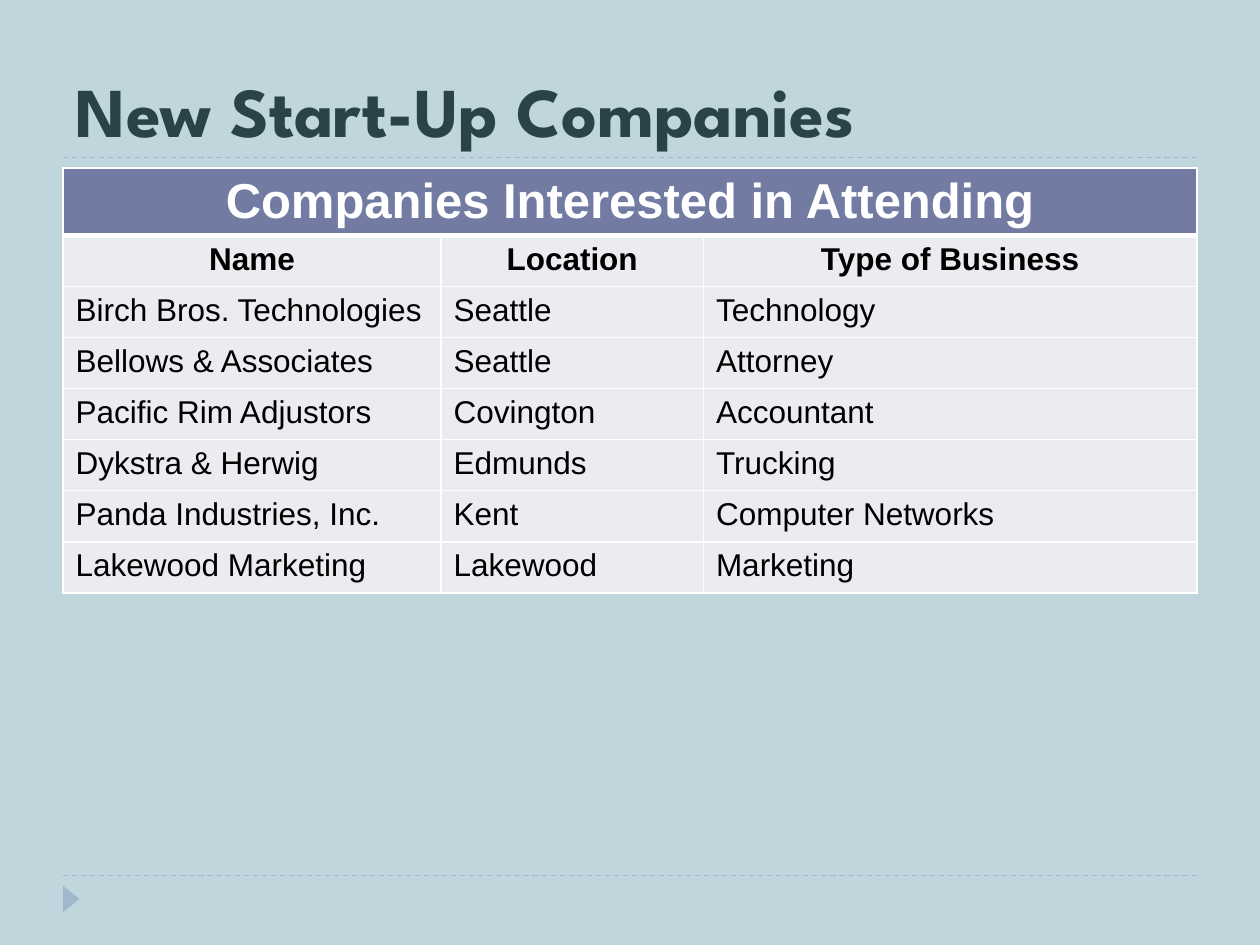
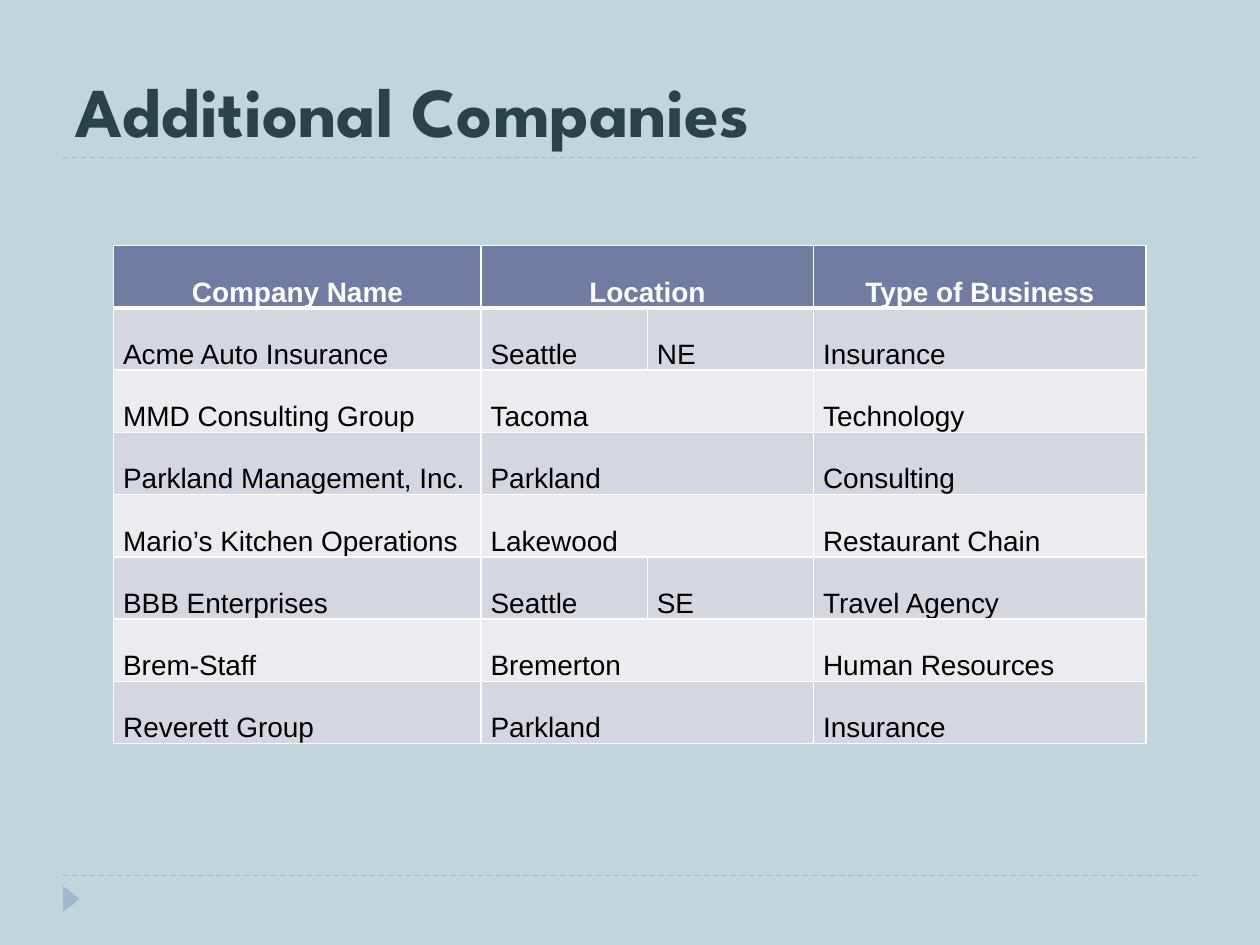
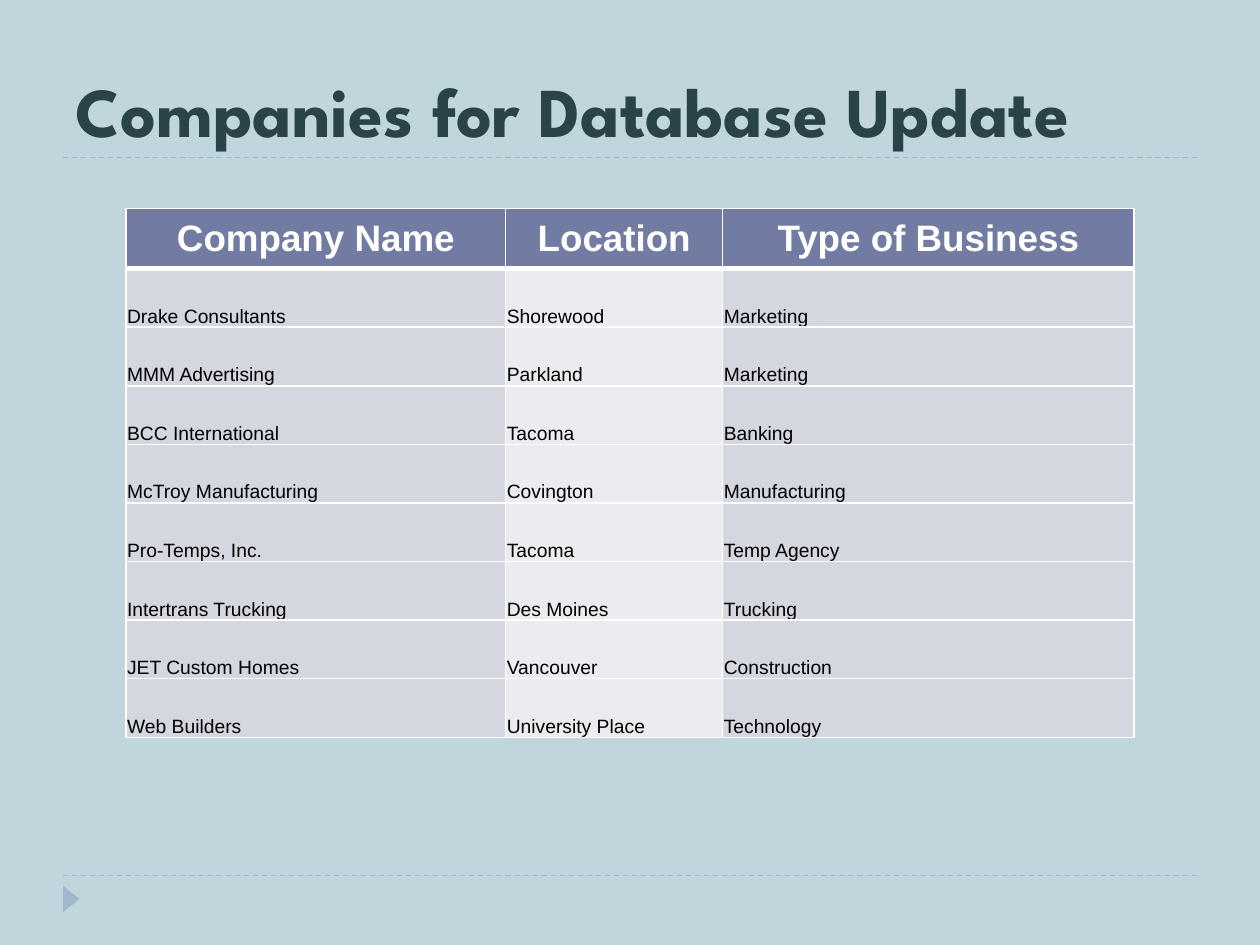
from lxml.etree import SubElement
from pptx import Presentation
from pptx.dml.color import RGBColor
from pptx.enum.dml import MSO_LINE
from pptx.enum.shapes import MSO_CONNECTOR, MSO_SHAPE
from pptx.enum.text import MSO_ANCHOR, MSO_AUTO_SIZE, PP_ALIGN
from pptx.oxml.ns import qn
from pptx.util import Pt

BACKGROUND = RGBColor(0xC0, 0xD6, 0xDC)
ACCENT = RGBColor(0x9F, 0xB8, 0xCD)
TITLE_COLOR = RGBColor(0x29, 0x43, 0x49)
HEADER_FILL = RGBColor(0x72, 0x7C, 0xA3)
DARK_BAND = RGBColor(0xD5, 0xD7, 0xE0)
LIGHT_BAND = RGBColor(0xEB, 0xEC, 0xF0)
WHITE = RGBColor(0xFF, 0xFF, 0xFF)
BLACK = RGBColor(0x00, 0x00, 0x00)
TITLE_FONT = "League Spartan"
BODY_FONT = "Arial"


def add_border(cell, side, width):
    """Draw one white cell border; side is L, R, T or B."""
    line = SubElement(cell._tc.get_or_add_tcPr(), qn(f"a:ln{side}"), w=str(Pt(width)))
    fill = SubElement(line, qn("a:solidFill"))
    SubElement(fill, qn("a:srgbClr"), val=str(WHITE))


# None continues the cell to its left
SLIDES = [
    {
        "title": "New Start-Up Companies", "title_width": 648,
        "frame": (36, 96, 648, 245.5), "columns": [216, 150, 282],
        "header_height": 29.2, "row_height": 29.2,
        "margins": (7.2, 3.6, 7.2, 3.6), "bands": "none", "bold_rows": 2,
        "header_size": 28, "body_size": 18, "header_spacing": 1, "body_spacing": 1,
        "header_anchor": MSO_ANCHOR.TOP, "body_anchor": MSO_ANCHOR.TOP,
        "rows": [
            ["Companies Interested in Attending", None, None],
            ["Name", "Location", "Type of Business"],
            ["Birch Bros. Technologies", "Seattle", "Technology"],
            ["Bellows & Associates", "Seattle", "Attorney"],
            ["Pacific Rim Adjustors", "Covington", "Accountant"],
            ["Dykstra & Herwig", "Edmunds", "Trucking"],
            ["Panda Industries, Inc.", "Kent", "Computer Networks"],
            ["Lakewood Marketing", "Lakewood", "Marketing"],
        ],
    },
    {
        "title": "Additional Companies", "title_width": 648,
        "frame": (65, 140.4, 590, 259.2), "columns": [210, 95, 95, 190],
        "header_height": 19.2, "row_height": 19.2,
        "margins": (5.4, 0, 5.4, 0), "bands": "rows", "bold_rows": 1,
        "header_size": 16, "body_size": 16, "header_spacing": 2, "body_spacing": 2,
        "header_anchor": MSO_ANCHOR.TOP, "body_anchor": MSO_ANCHOR.TOP,
        "rows": [
            ["Company Name", "Location", None, "Type of Business"],
            ["Acme Auto Insurance", "Seattle", "NE", "Insurance"],
            ["MMD Consulting Group", "Tacoma", None, "Technology"],
            ["Parkland Management, Inc.", "Parkland", None, "Consulting"],
            ["Mario’s Kitchen Operations", "Lakewood", None, "Restaurant Chain"],
            ["BBB Enterprises", "Seattle", "SE", "Travel Agency"],
            ["Brem-Staff", "Bremerton", None, "Human Resources"],
            ["Reverett Group", "Parkland", None, "Insurance"],
        ],
    },
    {
        "title": "Companies for Database Update", "title_width": 660,
        "frame": (72, 119, 576, 302.5), "columns": [217, 124, 235],
        "header_height": 34.5, "row_height": 33.5,
        "margins": (0.6, 0.6, 0.6, 0), "bands": "columns", "bold_rows": 1,
        "header_size": 21, "body_size": 11, "header_spacing": 1, "body_spacing": 2,
        "header_anchor": MSO_ANCHOR.MIDDLE, "body_anchor": MSO_ANCHOR.BOTTOM,
        "rows": [
            ["Company Name", "Location", "Type of Business"],
            ["Drake Consultants", "Shorewood", "Marketing"],
            ["MMM Advertising", "Parkland", "Marketing"],
            ["BCC International", "Tacoma", "Banking"],
            ["McTroy Manufacturing", "Covington", "Manufacturing"],
            ["Pro-Temps, Inc.", "Tacoma", "Temp Agency"],
            ["Intertrans Trucking", "Des Moines", "Trucking"],
            ["JET Custom Homes", "Vancouver", "Construction"],
            ["Web Builders", "University Place", "Technology"],
        ],
    },
]

presentation = Presentation()
presentation.slide_width = Pt(720)
presentation.slide_height = Pt(540)
master = presentation.slide_master
master.background.fill.solid()
master.background.fill.fore_color.rgb = BACKGROUND
layout = presentation.slide_layouts.get_by_name("Title Only")
slides = [presentation.slides.add_slide(layout) for _ in SLIDES]

# Shared rules and corner triangle, built on a slide and moved to the layout
decorations = []
for rule_top in (500.4, 90):
    rule = slides[0].shapes.add_connector(
        MSO_CONNECTOR.STRAIGHT, Pt(36), Pt(rule_top), Pt(684), Pt(rule_top))
    rule.line.color.rgb = ACCENT
    rule.line.width = Pt(0.75)
    rule.line.dash_style = MSO_LINE.DASH
    SubElement(rule._element.spPr, qn("a:effectLst"))
    decorations.append(rule)
triangle = slides[0].shapes.add_shape(
    MSO_SHAPE.ISOSCELES_TRIANGLE, Pt(33.2), Pt(509), Pt(15), Pt(9.4))
triangle.rotation = 90
triangle.shadow.inherit = False
triangle.fill.solid()
triangle.fill.fore_color.rgb = ACCENT
triangle.line.fill.background()
decorations.append(triangle)
for number, decoration in enumerate(decorations):
    decoration._element.xpath(".//p:cNvPr")[0].set("id", str(101 + number))
    layout.shapes._spTree.append(decoration._element)

for slide, content in zip(slides, SLIDES):
    # Title
    title = slide.shapes.title
    title.left, title.top = Pt(36), Pt(12.2)
    title.width, title.height = Pt(content["title_width"]), Pt(77.8)
    title.text_frame.text = content["title"]
    title.text_frame.auto_size = MSO_AUTO_SIZE.NONE
    title.text_frame.vertical_anchor = MSO_ANCHOR.BOTTOM
    paragraph = title.text_frame.paragraphs[0]
    paragraph.alignment = PP_ALIGN.LEFT
    paragraph.font.name = TITLE_FONT
    paragraph.font.size = Pt(40)
    paragraph.font.bold = True
    paragraph.font.color.rgb = TITLE_COLOR

    # Table grid
    rows = content["rows"]
    frame = slide.shapes.add_table(
        len(rows), len(content["columns"]), *[Pt(length) for length in content["frame"]])
    table = frame.table
    table.first_row = table.horz_banding = False
    for column, width in zip(table.columns, content["columns"]):
        column.width = Pt(width)
    for row_index, row in enumerate(table.rows):
        row.height = Pt(content["row_height" if row_index else "header_height"])
    frame.height = Pt(content["frame"][3])

    # Cells
    for row_index, texts in enumerate(rows):
        part = "body" if row_index else "header"
        bold = row_index < content["bold_rows"]
        for column_index, text in enumerate(texts):
            cell = table.cell(row_index, column_index)
            for side in "LRTB":
                under_header = (row_index, side) in ((0, "B"), (1, "T"))
                add_border(cell, side, 3 if under_header else 1)
            is_dark = (content["bands"] == "rows" and row_index % 2 == 1
                       or content["bands"] == "columns" and column_index % 2 == 0)
            cell.fill.solid()
            cell.fill.fore_color.rgb = (
                HEADER_FILL if row_index == 0 else DARK_BAND if is_dark else LIGHT_BAND)
            (cell.margin_left, cell.margin_top, cell.margin_right,
             cell.margin_bottom) = [Pt(margin) for margin in content["margins"]]
            cell.vertical_anchor = content[f"{part}_anchor"]
            if text is None:
                continue
            cell.text = text
            paragraph = cell.text_frame.paragraphs[0]
            paragraph.alignment = PP_ALIGN.CENTER if bold else PP_ALIGN.LEFT
            paragraph.line_spacing = float(content[f"{part}_spacing"])
            paragraph.font.name = BODY_FONT
            paragraph.font.size = Pt(content[f"{part}_size"])
            paragraph.font.bold = bold
            paragraph.font.color.rgb = BLACK if row_index else WHITE

            # Merge over the continued cells to the right
            last = column_index
            while last + 1 < len(texts) and texts[last + 1] is None:
                last += 1
            if last > column_index:
                cell.merge(table.cell(row_index, last))

presentation.save("out.pptx")
